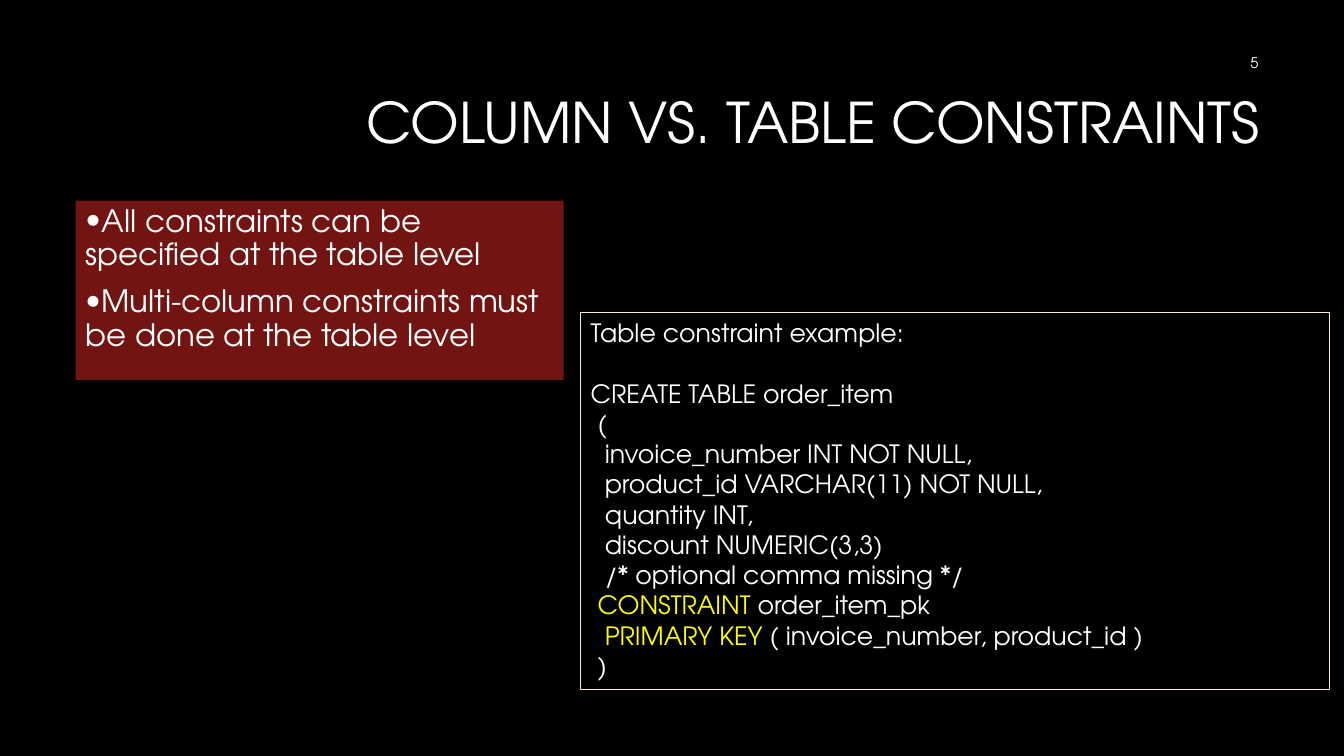
"""Build the slide comparing column and table constraints."""
from pptx import Presentation
from pptx import util as u
from pptx.dml.color import RGBColor
from pptx.enum import shapes, text
from lxml import etree

WHITE, YELLOW = "FFFFFF", "FFFF00"
STEP = 0.07


def color(value):
    return RGBColor.from_string(value)


def style(line, size, align=text.PP_ALIGN.LEFT):
    line.alignment = align
    line.font.name = "TeX Gyre Adventor"
    line.font.size = u.Pt(size)
    line.font.color.rgb = color(WHITE)


deck = Presentation()
deck.slide_width, deck.slide_height = u.Inches(13.33), u.Inches(7.5)
slide = deck.slides.add_slide(deck.slide_layouts[1])
slide.background.fill.solid()
slide.background.fill.fore_color.rgb = color("000000")

heading, rules = slide.placeholders
example = slide.shapes.add_shape(shapes.MSO_SHAPE.RECTANGLE, 0, 0, 0, 0)
number = slide.shapes.add_textbox(0, 0, 0, 0)
layout = [
    (heading, (3.17, 0.84, 9.42, 1.41), text.MSO_ANCHOR.MIDDLE),
    (rules, (0.75, 1.99, 4.84, 1.78), text.MSO_ANCHOR.TOP),
    (example, (5.76, 3.1, 7.43, 3.74), text.MSO_ANCHOR.TOP),
    (number, (9.58, 0.42, 3, 0.4), text.MSO_ANCHOR.MIDDLE),
]
for part, box, anchor in layout:
    part.left, part.top, part.width, part.height = map(u.Inches, box)
    part.text_frame.word_wrap = True
    part.text_frame.auto_size = text.MSO_AUTO_SIZE.NONE
    part.text_frame.vertical_anchor = anchor

heading.text_frame.text = "COLUMN VS. TABLE CONSTRAINTS"
heading.text_frame.margin_bottom = u.Inches(0.65)
style(heading.text_frame.paragraphs[0], 40, text.PP_ALIGN.RIGHT)
heading.text_frame.paragraphs[0].line_spacing = 0.9

number.text_frame.text = "5"
style(number.text_frame.paragraphs[0], 10.5, text.PP_ALIGN.RIGHT)

rules.fill.solid()
rules.fill.fore_color.rgb = color("721411")
rules.text_frame.text = (
    "All constraints can be specified at the table level\n"
    "Multi-column constraints must be done at the table level"
)
for rule in rules.text_frame.paragraphs:
    rule.line_spacing = 0.9
    rule.space_before = u.Pt(10)
    properties = rule._p.get_or_add_pPr()
    properties.set("marL", "0")
    properties.set("indent", "0")
    namespace = properties.nsmap["a"]
    etree.SubElement(properties, f"{{{namespace}}}buFont", typeface="TeX Gyre Adventor")
    etree.SubElement(properties, f"{{{namespace}}}buChar", char="•")
    style(rule, 22)

example.shadow.inherit = False
example.fill.background()
example.line.color.rgb = color("FFE6D1")
example.line.width = u.Pt(0.75)
statement = [
    (0, "", "Table constraint example:"),
    (0, "", "CREATE TABLE order_item"),
    (1, "", "("),
    (2, "", "invoice_number INT NOT NULL,"),
    (2, "", "product_id VARCHAR(11) NOT NULL,"),
    (2, "", "quantity INT,"),
    (2, "", "discount NUMERIC(3,3)"),
    (2, "", "/* optional comma missing */"),
    (1, "CONSTRAINT ", "order_item_pk"),
    (2, "PRIMARY KEY ", "( invoice_number, product_id )"),
    (1, "", ")"),
]
code = example.text_frame
for index, (depth, keyword, rest) in enumerate(statement):
    line = code.add_paragraph() if index else code.paragraphs[0]
    style(line, 18)
    line._p.get_or_add_pPr().set("marL", str(u.Inches(depth * STEP)))
    if keyword:
        highlight = line.add_run()
        highlight.text = keyword
        highlight.font.color.rgb = color(YELLOW)
    line.add_run().text = rest
code.paragraphs[1].space_before = u.Pt(21.6)

deck.save("out.pptx")
